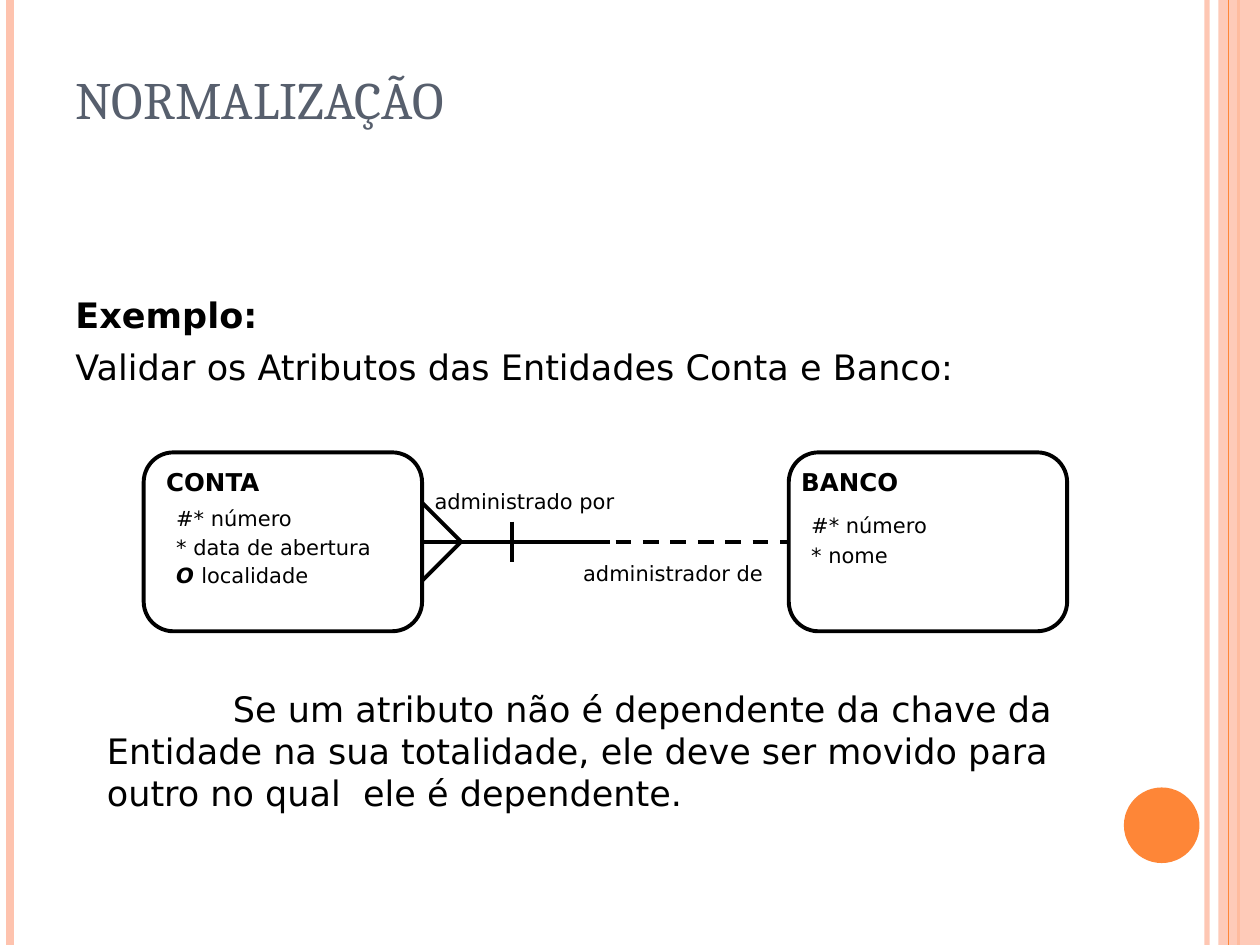
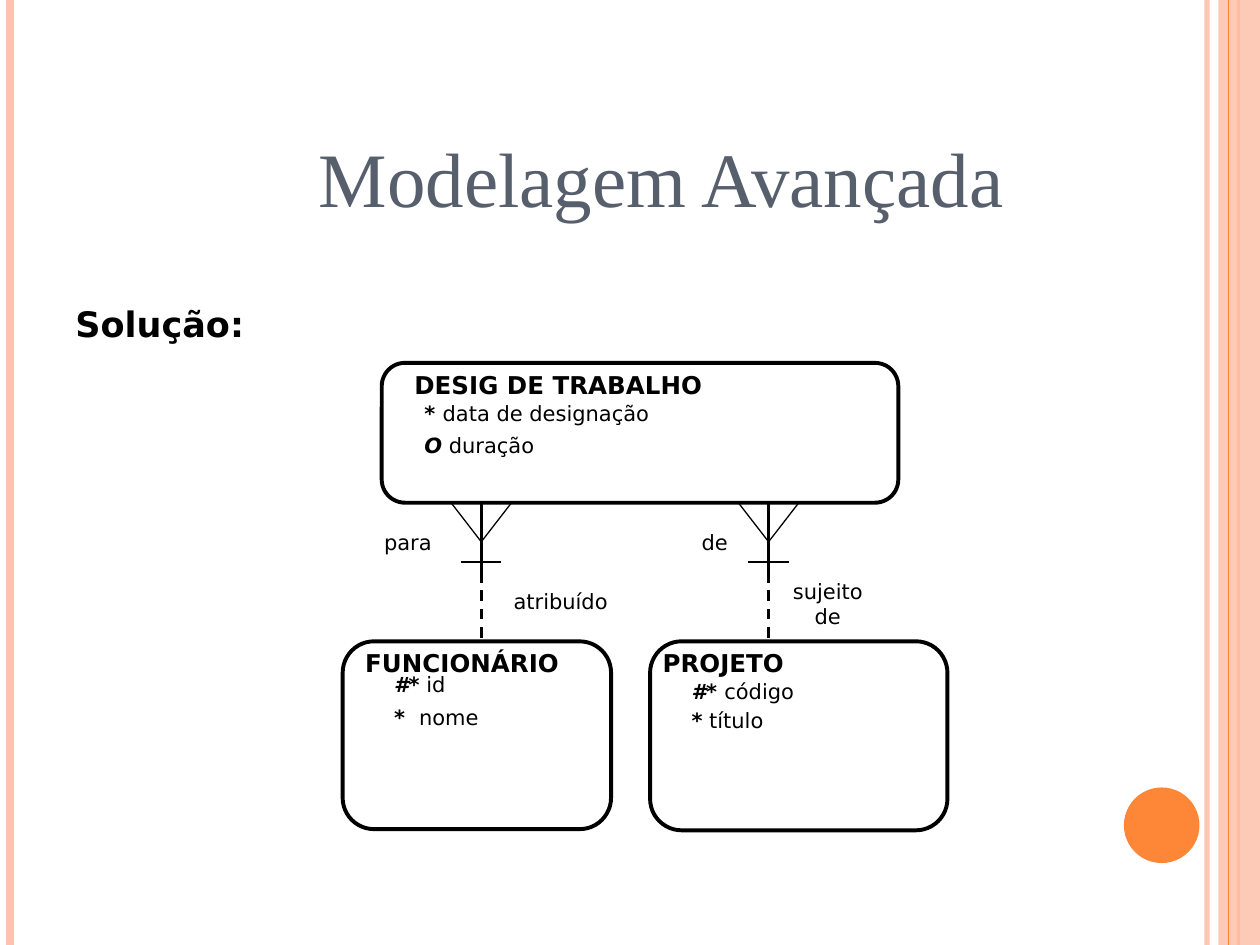
from lxml.etree import SubElement
from pptx import Presentation
from pptx.dml.color import RGBColor
from pptx.enum.dml import MSO_LINE
from pptx.enum.shapes import MSO_CONNECTOR, MSO_SHAPE
from pptx.enum.text import MSO_AUTO_SIZE, PP_ALIGN
from pptx.oxml.ns import qn
from pptx.util import Inches, Pt

PEACH = RGBColor(0xFE, 0xC3, 0xAE)
ORANGE = RGBColor(0xFE, 0x86, 0x37)
SLATE = RGBColor(0x57, 0x5F, 0x6D)
BLACK = RGBColor(0, 0, 0)

COLS, ROWS = 100, 75
BODY, SERIF, ROMAN = "DejaVu Sans", "Cambria", "Times New Roman"
ALTERNATE = MSO_SHAPE.FLOWCHART_ALTERNATE_PROCESS


class Deck:
    def __init__(self):
        self.prs = Presentation()
        self.prs.slide_width = Inches(10)
        self.prs.slide_height = Inches(7.5)
        self.s = None

    def x(self, cols):
        return round(cols * self.prs.slide_width / COLS)

    def y(self, rows):
        return round(rows * self.prs.slide_height / ROWS)

    def box(self, x, y, w, h):
        return self.x(x), self.y(y), self.x(w), self.y(h)

    def slide(self):
        self.s = self.prs.slides.add_slide(self.prs.slide_layouts[6])
        self.line((95.8, 0), (95.8, ROWS), 3, PEACH, alpha=93)
        self.line((0.8, 0), (0.8, ROWS), 4.5, PEACH)
        self.line((98.3, 0), (98.3, ROWS), 1.5, ORANGE)
        self.shape(MSO_SHAPE.RECTANGLE, 96.7, 0, 3.3, ROWS, PEACH, alpha=87)
        self.line((97.5, 0), (97.5, ROWS), 0.75, ORANGE)
        self.shape(MSO_SHAPE.OVAL, 89.2, 62.5, 6, 6, ORANGE)

    def fade(self, sp, alpha):
        if alpha < 100:
            for color in sp._element.spPr.iter(qn("a:srgbClr")):
                SubElement(color, qn("a:alpha")).set("val", str(alpha * 1000))

    def line(self, start, end, width, color=BLACK, dash=None, alpha=100):
        c = self.s.shapes.add_connector(
            MSO_CONNECTOR.STRAIGHT, self.x(start[0]), self.y(start[1]),
            self.x(end[0]), self.y(end[1]))
        c.line.color.rgb = color
        c.line.width = Pt(width)
        if dash:
            c.line.dash_style = dash
        SubElement(c._element.spPr, qn("a:effectLst"))
        self.fade(c, alpha)

    def shape(self, kind, x, y, w, h, fill=None, outline=0, alpha=100):
        sp = self.s.shapes.add_shape(kind, *self.box(x, y, w, h))
        sp.shadow.inherit = False
        if fill is None:
            sp.fill.background()
        else:
            sp.fill.solid()
            sp.fill.fore_color.rgb = fill
        if outline:
            sp.line.color.rgb = BLACK
            sp.line.width = Pt(outline)
        else:
            sp.line.fill.background()
        self.fade(sp, alpha)

    def text(self, x, y, w, h, paragraphs, size=12, font=BODY, color=BLACK,
             align=PP_ALIGN.LEFT, before=7.5, first_indent=0):
        tf = self.s.shapes.add_textbox(*self.box(x, y, w, h)).text_frame
        tf.word_wrap = True
        tf.auto_size = MSO_AUTO_SIZE.NONE
        for i, (spacing, runs) in enumerate(paragraphs):
            p = tf.add_paragraph() if i else tf.paragraphs[0]
            p.alignment = align
            p.line_spacing = spacing
            if i:
                p.space_before = Pt(before)
            if first_indent:
                p._p.get_or_add_pPr().set("indent", str(self.x(first_indent)))
            for words, style in runs:
                r = p.add_run()
                r.text = words
                r.font.name = font
                r.font.size = Pt(size)
                r.font.color.rgb = color
                r.font.bold = "b" in style
                r.font.italic = "i" in style

    def title(self, x, y, w, h, words, size, font, align=PP_ALIGN.LEFT):
        self.text(x, y, w, h, [(1.4, [(words, "")])], size, font, SLATE, align)

    def label(self, x, y, w, h, words, align=PP_ALIGN.LEFT):
        self.text(x, y, w, h, [(1.0, [(words, "")])], align=align)

    def entity(self, frame, name_at, name, attributes_at, attributes):
        self.shape(ALTERNATE, *frame, outline=2.25)
        self.text(*name_at, 31.5, 3.4, [(1.0, [(name, "b")])], 14)
        self.text(*attributes_at, 23.6, 7.5, attributes)

    def relation(self, origin, horizontal, spread, bar, solid_end, dashes,
                 trunk, foot):
        def at(along, across):
            dx, dy = (along, across) if horizontal else (across, along)
            return origin[0] + dx, origin[1] + dy

        for side in (-spread, spread):
            self.line(at(0, side), at(3.1, 0), foot)
        self.line(at(0, 0), at(solid_end, 0), trunk)
        self.line(at(dashes[0], 0), at(dashes[1], 0), trunk, dash=MSO_LINE.DASH)
        self.line(at(bar, -1.6), at(bar, 1.6), foot)


def normalization(d):
    d.slide()
    d.title(5, 2.8, 81.7, 12.5, "NORMALIZAÇÃO", 30, SERIF)
    d.text(5, 22.8, 90, 9.4, [
        (1.0, [("Exemplo:", "b")]),
        (1.0, [("Validar os Atributos das Entidades Conta e Banco:", "")]),
    ], 20, before=6)
    d.entity((11.4, 35.9, 22.1, 14.2), (12.2, 36.6), "CONTA", (13, 39.6), [
        (1.0, [("#* número", "")]),
        (0.6, [("* data de abertura", "")]),
        (0.6, [("O ", "bi"), ("localidade", "")]),
    ])
    d.entity((62.6, 35.9, 22.1, 14.2), (62.6, 36.6), "BANCO", (63.4, 40.2), [
        (1.0, [("#* número", "")]),
        (0.6, [("* nome", "")]),
    ])
    d.relation((33.5, 43), True, 3.1, 7.1, 14.9, (11, 29.1), 2.25, 2.25)
    d.label(33.5, 38.3, 18.1, 3, "administrado por")
    d.label(45.3, 44, 17.3, 3, "administrador de")
    d.text(7.5, 54.1, 83.5, 11, [(1.0, [(
        "Se um atributo não é dependente da chave da Entidade na sua "
        "totalidade, ele deve ser movido para outro no qual  ele é "
        "dependente.", "")])], 20, first_indent=10)


def advanced_modeling(d):
    d.slide()
    d.title(7.5, 6.9, 90, 9.5, "Modelagem Avançada", 44, ROMAN, PP_ALIGN.CENTER)
    d.text(5, 23.5, 90, 4.7, [(1.0, [("Solução:", "b")])], 20)
    d.entity((30.3, 28.8, 41, 11.1), (31.9, 28.9), "DESIG DE TRABALHO",
             (32.7, 31.3), [
        (1.0, [("* ", "bi"), ("data de designação", "")]),
        (0.7, [("O", "bi"), (" duração", "")]),
    ])
    d.entity((27.2, 50.9, 21.3, 14.9), (28, 50.9), "FUNCIONÁRIO",
             (30.3, 53.2), [
        (0.8, [("#*", "bi"), (" id", "")]),
        (0.8, [("* ", "b"), (" nome", "")]),
    ])
    d.entity((51.6, 50.9, 23.6, 15), (51.6, 50.9), "PROJETO", (53.9, 54.4), [
        (0.4, [("#* ", "bi"), ("código", "")]),
        (0.7, [("*", "b"), (" título", "")]),
    ])
    for center in (38.2, 61):
        d.relation((center, 39.9), False, 2.4, 4.7, 6.2, (5.5, 11), 1.5, 0.75)
    d.label(29.5, 41.5, 13.4, 3, "para")
    d.label(54.7, 41.5, 13.4, 3, "de")
    d.label(38.2, 46.2, 12.6, 3, "atribuído", PP_ALIGN.CENTER)
    d.label(61, 45.4, 9.4, 5, "sujeito de", PP_ALIGN.CENTER)


def main():
    d = Deck()
    normalization(d)
    advanced_modeling(d)
    d.prs.save("out.pptx")


if __name__ == "__main__":
    main()
